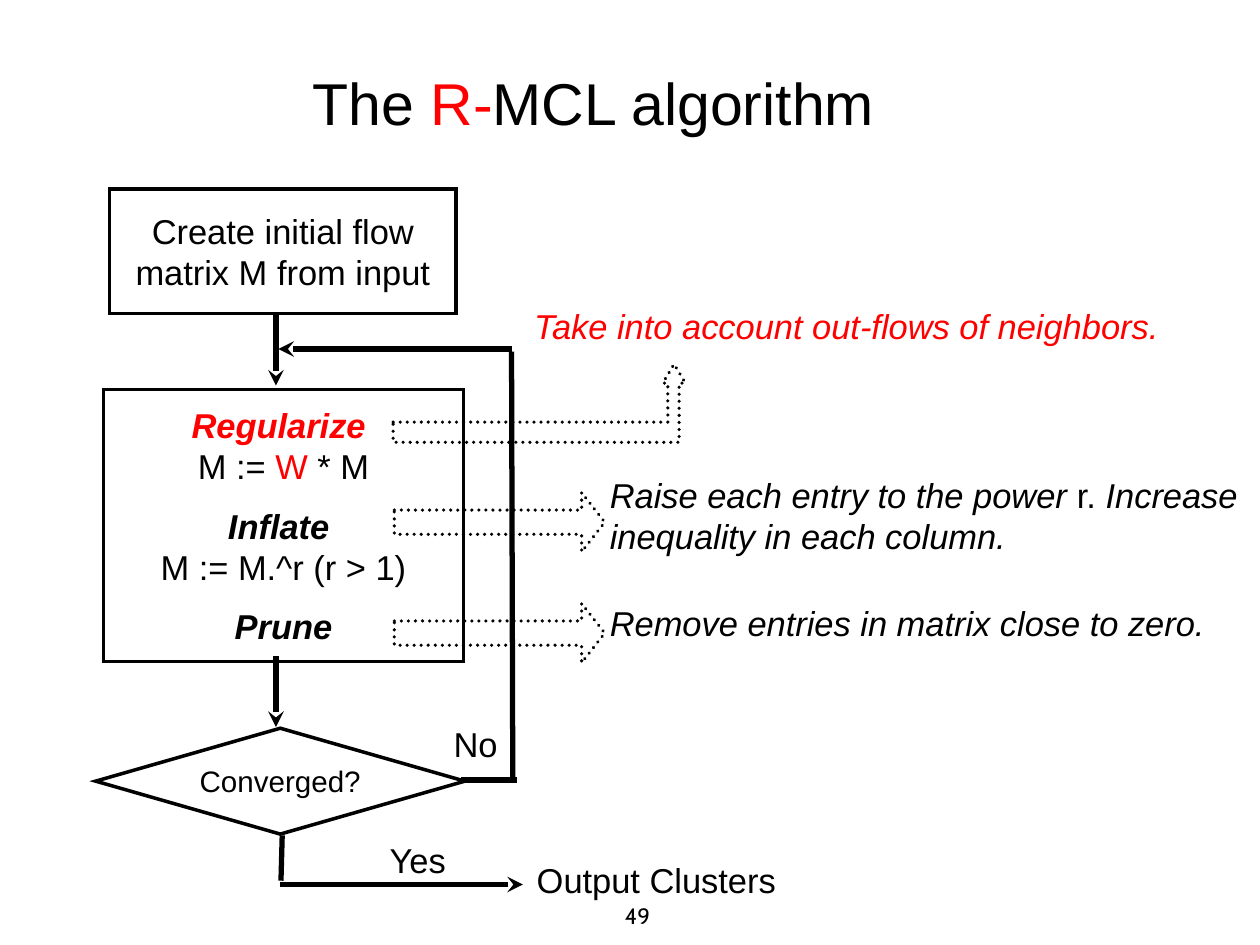
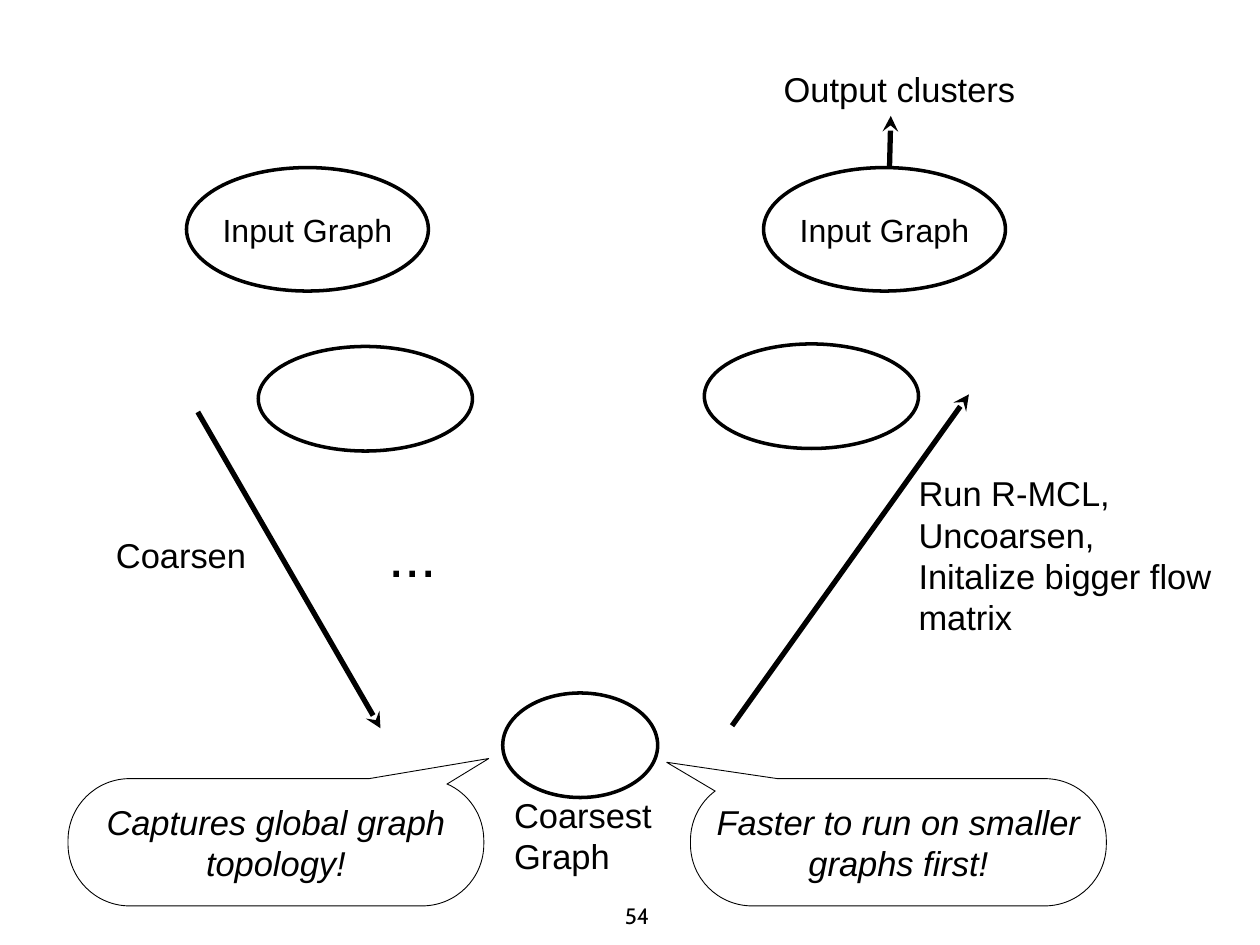
"""Build two slides on the R-MCL algorithm: its flowchart and its multi-level scheme."""
from dataclasses import dataclass
from math import cos, radians, sin, tan
from typing import Optional

from lxml.etree import SubElement
from pptx import Presentation
from pptx.dml.color import RGBColor
from pptx.enum.dml import MSO_LINE
from pptx.enum.shapes import MSO_CONNECTOR, MSO_SHAPE as Preset
from pptx.enum.text import MSO_ANCHOR, PP_ALIGN
from pptx.oxml.ns import qn
from pptx.util import Inches, Pt

COLORS = {"ink": "000000", "accent": "FF0000"}
BODY_FONT, NUMBER_FONT = "Arial", "Cabin"
TITLE_SIZE, BODY_SIZE, NODE_SIZE, TEST_SIZE, NUMBER_SIZE = 33.7, 19.7, 18.3, 16.9, 12.7
OUTLINE, WIRE, HAIRLINE = 2, 3, 0.5
STEP_GAP = 10.2
CALLOUT_TOP, CALLOUT_WIDTH, CALLOUT_HEIGHT, CALLOUT_RADIUS = 6.18, 3.3, 1.01, 0.49

Point = tuple[float, float]


@dataclass(frozen=True)
class Span:
    text: str
    color: str = "ink"
    bold: bool = False
    italic: bool = False


@dataclass(frozen=True)
class Para:
    spans: tuple[Span, ...]
    gap: float = 0


@dataclass(frozen=True)
class Text:
    paras: tuple[Para, ...]
    size: float = BODY_SIZE
    centered: bool = False
    font: str = BODY_FONT


@dataclass(frozen=True)
class Label:
    left: float
    top: float
    width: float
    height: float
    text: Text


@dataclass(frozen=True)
class Node:
    preset: Preset
    left: float
    top: float
    width: float
    height: float
    text: Optional[Text] = None
    dotted: bool = False
    adjustments: tuple[float, ...] = ()


@dataclass(frozen=True)
class Wire:
    start: Point
    end: Point
    arrow: bool = True


@dataclass(frozen=True)
class Callout:
    left: float
    tip: Point
    root: float
    first_angle: float
    last_angle: float
    text: Text


def plain(*lines: str, size: float = BODY_SIZE, centered: bool = False,
          italic: bool = False, color: str = "ink") -> Text:
    """Make text whose every line has one look."""
    paras = tuple(Para((Span(line, color, italic=italic),)) for line in lines)
    return Text(paras, size, centered)


def write(frame, text: Text) -> None:
    """Fill a text frame run by run."""
    for index, item in enumerate(text.paras):
        para = frame.add_paragraph() if index else frame.paragraphs[0]
        para.alignment = PP_ALIGN.CENTER if text.centered else PP_ALIGN.LEFT
        para.space_before = Pt(item.gap)
        for span in item.spans:
            run = para.add_run()
            run.text = span.text
            run.font.name = text.font
            run.font.size = Pt(text.size)
            run.font.bold = span.bold
            run.font.italic = span.italic
            run.font.color.rgb = RGBColor.from_string(COLORS[span.color])


def set_frame(frame, left: float = 0, top: float = 0, right: float = 0) -> None:
    """Wrap and centre the text vertically within the given margins."""
    frame.word_wrap = True
    frame.vertical_anchor = MSO_ANCHOR.MIDDLE
    frame.margin_left, frame.margin_top = Inches(left), Inches(top)
    frame.margin_right, frame.margin_bottom = Inches(right), Inches(0)


def set_line(line, width: float) -> None:
    """Draw a black line of the given width."""
    line.color.rgb = RGBColor.from_string(COLORS["ink"])
    line.width = Pt(width)


def set_outline(shape, width: float, dotted: bool = False) -> None:
    """Leave a shape hollow, with only its sharp-cornered outline."""
    shape.shadow.inherit = False
    shape.fill.background()
    set_line(shape.line, width)
    stroke = shape.line._get_or_add_ln()
    if dotted:
        shape.line.dash_style = MSO_LINE.ROUND_DOT
        stroke.set("cap", "rnd")
    SubElement(stroke, qn("a:miter"), lim="800000")


def draw_label(page, label: Label) -> None:
    """Add a text box."""
    box = page.shapes.add_textbox(Inches(label.left), Inches(label.top),
                                  Inches(label.width), Inches(label.height))
    set_frame(box.text_frame)
    write(box.text_frame, label.text)


def draw_node(page, node: Node) -> None:
    """Add a hollow preset shape."""
    shape = page.shapes.add_shape(node.preset, Inches(node.left), Inches(node.top),
                                  Inches(node.width), Inches(node.height))
    set_outline(shape, OUTLINE, node.dotted)
    for index, value in enumerate(node.adjustments):
        shape.adjustments[index] = value
    if node.text:
        set_frame(shape.text_frame)
        write(shape.text_frame, node.text)


def draw_wire(page, wire: Wire) -> None:
    """Add a straight line, with an arrowhead at its end if asked."""
    ends = (Inches(value) for value in wire.start + wire.end)
    link = page.shapes.add_connector(MSO_CONNECTOR.STRAIGHT, *ends)
    set_line(link.line, WIRE)
    if wire.arrow:
        SubElement(link.line._get_or_add_ln(), qn("a:tailEnd"), type="stealth")
    SubElement(link._element.spPr, qn("a:effectLst"))


def draw_outline(page, points: list[Point], width: float, dotted: bool = False):
    """Add a hollow closed polygon."""
    corners = [(Inches(x), Inches(y)) for x, y in points]
    builder = page.shapes.build_freeform(*corners[0])
    builder.add_line_segments(corners[1:], close=True)
    shape = builder.convert_to_shape()
    set_outline(shape, width, dotted)
    return shape


def arc(x: float, y: float, first: float, last: float) -> list[Point]:
    """List the start, two control points and end of a callout corner curve."""
    start, end = radians(first), radians(last)
    pull = 4 / 3 * tan((end - start) / 4)
    units = [
        (cos(start), sin(start)),
        (cos(start) - pull * sin(start), sin(start) + pull * cos(start)),
        (cos(end) + pull * sin(end), sin(end) - pull * cos(end)),
        (cos(end), sin(end)),
    ]
    return [(x + CALLOUT_RADIUS * dx, y + CALLOUT_RADIUS * dy) for dx, dy in units]


def bend_corners(shape, first: int) -> None:
    """Turn the control points of each corner into one curve."""
    segments = list(shape._element.iter(qn("a:lnTo")))
    for start in range(first, first + 16, 4):
        handles = segments[start + 1:start + 4]
        curve = handles[0].makeelement(qn("a:cubicBezTo"))
        handles[0].addprevious(curve)
        for handle in handles:
            curve.append(handle[0])
            handle.getparent().remove(handle)


def draw_callout(page, callout: Callout) -> None:
    """Add a rounded bubble with a tail, its text centred on the bubble."""
    right = callout.left + CALLOUT_WIDTH
    near, far = callout.left + CALLOUT_RADIUS, right - CALLOUT_RADIUS
    high = CALLOUT_TOP + CALLOUT_RADIUS
    low = CALLOUT_TOP + CALLOUT_HEIGHT - CALLOUT_RADIUS
    body = (arc(near, high, callout.first_angle, 180) + arc(near, low, 180, 90)
            + arc(far, low, 90, 0) + arc(far, high, 0, callout.last_angle))
    root = (callout.root, CALLOUT_TOP)
    root_first = callout.first_angle == 270
    rim = [root, *body] if root_first else [*body, root]
    shape = draw_outline(page, [callout.tip, *rim], HAIRLINE)
    bend_corners(shape, int(root_first))
    tip_x, tip_y = callout.tip
    set_frame(shape.text_frame, max(callout.left - tip_x, 0), CALLOUT_TOP - tip_y,
              max(tip_x - right, 0))
    write(shape.text_frame, callout.text)


DRAWERS = {Label: draw_label, Node: draw_node, Wire: draw_wire, Callout: draw_callout}


def add_page(deck, number: int, items: list):
    """Add a blank slide with its number and items."""
    page = deck.slides.add_slide(deck.slide_layouts[6])
    digits = Text((Para((Span(str(number)),)),), NUMBER_SIZE, font=NUMBER_FONT)
    for item in [Label(4.96, 7.16, 0.3, 0.22, digits), *items]:
        DRAWERS[type(item)](page, item)
    return page


TITLE = Text((Para((Span("The "), Span("R-", "accent"), Span("MCL algorithm"))),), TITLE_SIZE)
STEPS = Text((
    Para((Span("Regularize ", "accent", True, True),)),
    Para((Span("M := "), Span("W", "accent"), Span(" * M"))),
    Para((Span("Inflate ", bold=True, italic=True),), STEP_GAP),
    Para((Span("M := M.^r (r > 1)"),)),
    Para((Span("Prune", bold=True, italic=True),), STEP_GAP),
), centered=True)
INFLATE_NOTE = Text((Para((
    Span("Raise each entry to the power ", italic=True),
    Span("r. "),
    Span("Increase inequality in each column.", italic=True),
)),))

FLOWCHART = [
    Label(2.48, 0.49, 6.59, 0.64, TITLE),
    Node(Preset.RECTANGLE, 0.87, 1.5, 2.75, 0.99,
         plain("Create initial flow matrix M from input", centered=True)),
    Node(Preset.RECTANGLE, 0.82, 3.09, 2.86, 2.16, STEPS),
    Node(Preset.DIAMOND, 0.76, 5.78, 2.93, 0.84,
         plain("Converged?", size=TEST_SIZE, centered=True)),
    *(Node(Preset.RIGHT_ARROW, 3.13, top, 1.67, 0.47, dotted=True, adjustments=(0.41, 0.39))
      for top in (3.91, 4.79)),
    Wire((2.19, 2.5), (2.19, 3.06)),
    Wire((2.19, 5.21), (2.19, 5.77)),
    Wire((3.66, 6.19), (4.1, 6.19), arrow=False),
    Wire((4.07, 6.2), (4.06, 2.79), arrow=False),
    Wire((4.06, 2.77), (2.21, 2.77)),
    Wire((2.24, 6.63), (2.23, 6.99), arrow=False),
    Wire((2.22, 7.02), (4.15, 7.02)),
    Label(4.24, 2.38, 6.07, 0.41,
          plain("Take into account out-flows of neighbors.", italic=True, color="accent")),
    Label(4.84, 3.72, 5.03, 0.74, INFLATE_NOTE),
    Label(4.84, 4.74, 5.03, 0.41,
          plain("Remove entries in matrix close to zero.", italic=True)),
    Label(3.6, 5.7, 0.44, 0.41, plain("No")),
    Label(2.22, 6.66, 2.19, 0.32, plain("Yes", centered=True)),
    Label(4.26, 6.78, 2.19, 0.41, plain("Output Clusters")),
]
BENT_ARROW = [(3.12, 3.35), (5.3, 3.35), (5.3, 3.04), (5.26, 3.04), (5.35, 2.89),
              (5.44, 3.04), (5.39, 3.04), (5.39, 3.51), (3.12, 3.51)]

MULTILEVEL = [
    *(Node(Preset.OVAL, left, 1.33, 1.92, 0.98,
           plain("Input Graph", size=NODE_SIZE, centered=True)) for left in (1.48, 6.06)),
    Node(Preset.OVAL, 2.05, 2.75, 1.7, 0.83),
    Node(Preset.OVAL, 5.59, 2.73, 1.7, 0.83),
    Node(Preset.OVAL, 3.99, 5.5, 1.23, 0.83),
    Wire((1.57, 3.27), (3.02, 5.78)),
    Wire((5.81, 5.76), (7.69, 3.13)),
    Wire((7.06, 1.32), (7.07, 0.92)),
    Label(0.92, 4.2, 2.19, 0.41, plain("Coarsen")),
    Label(3.08, 4.08, 2.19, 0.64, plain("...", size=TITLE_SIZE)),
    Label(7.29, 3.7, 2.36, 1.41,
          plain("Run R-MCL,", "Uncoarsen,", "Initalize bigger flow matrix")),
    Label(6.22, 0.5, 4.17, 0.41, plain("Output clusters")),
    Callout(0.54, (3.88, 6.02), 2.93, 270, -66,
            plain("Captures global graph topology!", centered=True, italic=True)),
    Callout(5.48, (5.29, 6.05), 6.17, 233, -90,
            plain("Faster to run on smaller graphs first!", centered=True, italic=True)),
    Label(4.08, 6.26, 1.46, 0.74, plain("Coarsest", "Graph")),
]


def main() -> None:
    """Build and save the deck."""
    deck = Presentation()
    deck.slide_width, deck.slide_height = Inches(10), Inches(7.5)
    flowchart = add_page(deck, 49, FLOWCHART)
    draw_outline(flowchart, BENT_ARROW, OUTLINE, dotted=True)
    add_page(deck, 54, MULTILEVEL)
    deck.save("out.pptx")


if __name__ == "__main__":
    main()
